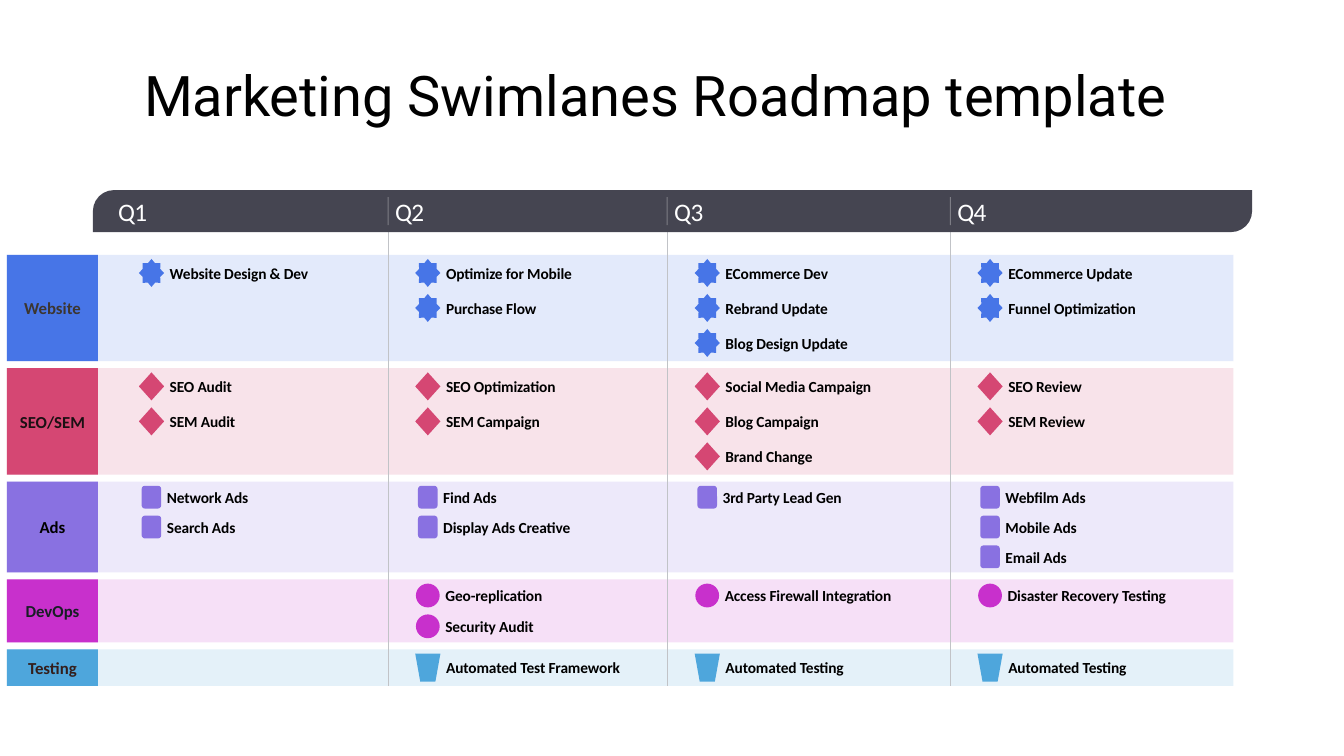
import lxml.etree
import pptx
import pptx.dml.color
import pptx.enum.shapes
import pptx.enum.text
import pptx.oxml.ns
import pptx.util

Pt = pptx.util.Pt
SHAPE = pptx.enum.shapes.MSO_SHAPE
ANCHOR = pptx.enum.text.MSO_ANCHOR
ALIGN = pptx.enum.text.PP_ALIGN

GAP = 5  # between lanes, and between markers in a lane
LANE_MARGIN = 3
LABEL_WIDTH = 65
DIVIDERS = [277.2, 476.6, 678.8]
MARKER_CENTERS = [108.2, 305.6, 505.2, 707.2]

# name, colour, label colour, marker shape, marker width, marker height, items by quarter
LANES = [
    ("Website", "4775E7", "3C3631", SHAPE.STAR_8_POINT, 18, 20, [
        ["Website Design & Dev"],
        ["Optimize for Mobile", "Purchase Flow"],
        ["ECommerce Dev", "Rebrand Update", "Blog Design Update"],
        ["ECommerce Update", "Funnel Optimization"]]),
    ("SEO/SEM", "D54773", "1B1013", SHAPE.DIAMOND, 18, 20, [
        ["SEO Audit", "SEM Audit"],
        ["SEO Optimization", "SEM Campaign"],
        ["Social Media Campaign", "Blog Campaign", "Brand Change"],
        ["SEO Review", "SEM Review"]]),
    ("Ads", "8971E1", "000000", SHAPE.ROUNDED_RECTANGLE, 14, 16.3, [
        ["Network Ads", "Search Ads"],
        ["Find Ads", "Display Ads Creative"],
        ["3rd Party Lead Gen"],
        ["Webfilm Ads", "Mobile Ads", "Email Ads"]]),
    ("DevOps", "C830CC", "171E24", SHAPE.OVAL, 17, 17, [
        [],
        ["Geo-replication", "Security Audit"],
        ["Access Firewall Integration"],
        ["Disaster Recovery Testing"]]),
    ("Testing", "4EA6DC", "331E1C", SHAPE.FLOWCHART_MANUAL_OPERATION, 18, 20, [
        [],
        ["Automated Test Framework"],
        ["Automated Testing"],
        ["Automated Testing"]]),
]


def paint(fill, color, opacity=100):
    fill.solid()
    fill.fore_color.rgb = pptx.dml.color.RGBColor.from_string(color)
    if opacity < 100:
        tone = fill._xPr.find(".//" + pptx.oxml.ns.qn("a:srgbClr"))
        alpha = lxml.etree.SubElement(tone, pptx.oxml.ns.qn("a:alpha"))
        alpha.set("val", str(opacity * 1000))


def add_block(page, kind, left, top, width, height, color, opacity=100):
    block = page.shapes.add_shape(kind, Pt(left), Pt(top), Pt(width), Pt(height))
    block.shadow.inherit = False
    block.line.fill.background()
    paint(block.fill, color, opacity)
    return block


def add_divider(page, x, top, bottom, color, opacity=100):
    divider = page.shapes.add_connector(
        pptx.enum.shapes.MSO_CONNECTOR.STRAIGHT, Pt(x), Pt(top), Pt(x), Pt(bottom))
    divider.line.width = Pt(0.75)
    paint(divider.line.fill, color, opacity)
    lxml.etree.SubElement(divider._element.spPr, pptx.oxml.ns.qn("a:effectLst"))


def write(box, text, size, color, font="Calibri", bold=False, align=ALIGN.LEFT,
          wrap=True, inset=(0, 0), spacing=0):
    """Put one run into a box; spacing is between letters, in hundredths of a point."""
    frame = box.text_frame
    frame.word_wrap = wrap
    frame.vertical_anchor = ANCHOR.MIDDLE
    frame.margin_left = frame.margin_right = Pt(inset[0])
    frame.margin_top = frame.margin_bottom = Pt(inset[1])
    para = frame.paragraphs[0]
    para.alignment = align
    span = para.add_run()
    span.text = text
    span.font.name = font
    span.font.size = Pt(size)
    span.font.bold = bold
    paint(span.font.fill, color)
    if spacing:
        span._r.get_or_add_rPr().set("spc", str(spacing))


def add_text(page, left, top, width, height, text, size, color, **style):
    box = page.shapes.add_textbox(Pt(left), Pt(top), Pt(width), Pt(height))
    write(box, text, size, color, **style)


def add_title(page, left, top, width, height):
    add_text(page, left, top, width, height, "Marketing Swimlanes Roadmap template",
             40, "000000", font="Roboto", inset=(7.2, 3.6))


def add_header(page, left, top, width, height):
    bar = add_block(page, SHAPE.ROUND_2_DIAG_RECTANGLE, left, top, width, height, "454551")
    bar.adjustments[0] = 0.5
    bar.adjustments[1] = 0
    starts = [left + 18] + [x + 5 for x in DIVIDERS]
    for number, start in enumerate(starts, 1):
        add_text(page, start, top + 5, 22, height - 10, f"Q{number}", 18, "FFFFFF",
                 wrap=False, spacing=-40)
    for x in DIVIDERS:
        add_divider(page, x, top + 5, top + height - 5, "FFFFFF", 30)


def lane_height(lane):
    marker_height, quarters = lane[5:]
    rows = max(map(len, quarters))
    return 2 * LANE_MARGIN + rows * marker_height + (rows - 1) * GAP


def add_lane_background(page, left, top, width, lane):
    name, color, label_color = lane[:3]
    height = lane_height(lane)
    add_block(page, SHAPE.RECTANGLE, left, top, width, height, color, 15)
    label = add_block(page, SHAPE.RECTANGLE, left, top, LABEL_WIDTH, height, color)
    write(label, name, 12, label_color, bold=True, align=ALIGN.CENTER)


def add_lane_items(page, top, lane):
    color, marker, width, height, quarters = lane[1], *lane[3:]
    for center, items in zip(MARKER_CENTERS, quarters):
        for row, item in enumerate(items):
            y = top + LANE_MARGIN + row * (height + GAP)
            add_block(page, marker, center - width / 2, y, width, height, color)
            add_text(page, center + width / 2 + 4, y, 145, height, item, 11, "000000",
                     bold=True, spacing=-10)


def add_swimlanes(page, left, top, width, divider_top):
    tops = []
    bottom = top - GAP
    for lane in LANES:
        tops.append(bottom + GAP)
        add_lane_background(page, left, tops[-1], width, lane)
        bottom = tops[-1] + lane_height(lane)
    for x in DIVIDERS:
        add_divider(page, x, divider_top, bottom, "C1C3C7")
    for lane_top, lane in zip(tops, LANES):
        add_lane_items(page, lane_top, lane)


def main():
    deck = pptx.Presentation()
    deck.slide_width = Pt(960)
    deck.slide_height = Pt(540)
    page = deck.slides.add_slide(deck.slide_layouts[6])
    add_swimlanes(page, 5, 182, 876, 165.8)
    add_header(page, 66.4, 135.8, 828, 30)
    add_title(page, 95.8, 39.6, 769, 55.4)
    deck.save("out.pptx")


if __name__ == "__main__":
    main()
